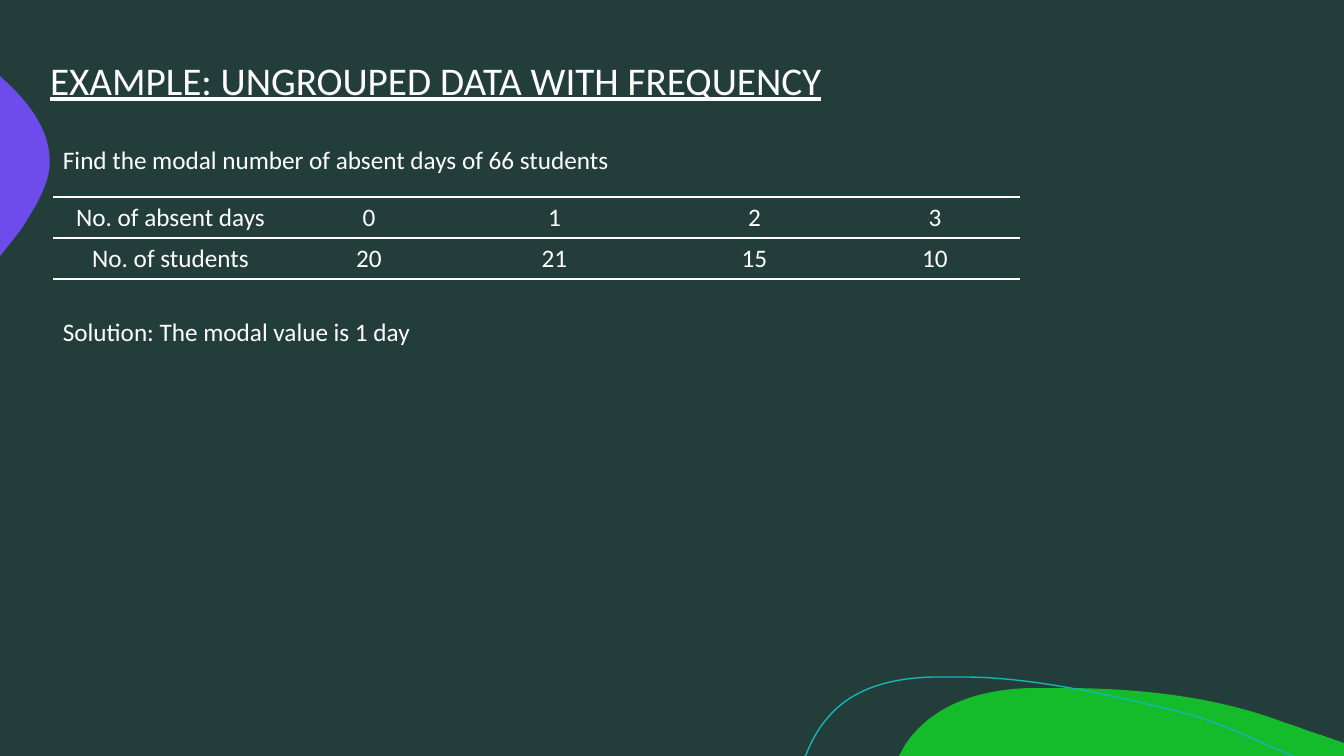
from lxml.etree import SubElement
from pptx import Presentation
from pptx.dml.color import RGBColor
from pptx.enum.text import MSO_ANCHOR, MSO_AUTO_SIZE, PP_ALIGN
from pptx.oxml import parse_xml
from pptx.oxml.ns import nsdecls, qn
from pptx.util import Pt

EMU_PER_PX = 914400 / 100.8

GREEN_HILL = [
    [(1062, 688)],
    [(1137, 688), (1214, 696), (1283, 722)],
    [(1296, 726), (1308, 731), (1321, 735)],
    [(1344, 743)], [(1344, 756)], [(899, 756)], [(905, 745)],
    [(909, 739), (913, 734), (918, 729)],
    [(947, 699), (990, 689), (1031, 688)],
    [(1041, 688), (1052, 688), (1062, 688)],
]
PURPLE_BULGE = [
    [(0, 76)], [(1, 77)],
    [(30, 103), (54, 134), (49, 171)],
    [(46, 188), (37, 204), (27, 220)],
    [(24, 226), (17, 235), (8, 246)],
    [(0, 256)],
]
TEAL_WAVE = [
    [(805, 756)], [(806, 755)],
    [(812, 739), (820, 726), (831, 714)],
    [(857, 686), (896, 678), (933, 677)],
    [(963, 677)],
    [(1031, 677), (1109, 695), (1164, 708)],
    [(1219, 721), (1236, 732), (1293, 756)],
]
ABSENCES = [
    ["No. of absent days", "0", "1", "2", "3"],
    ["No. of students", "20", "21", "15", "10"],
]


def px(length):
    """Turn pixels into EMU."""
    return round(length * EMU_PER_PX)


def color(hex_code):
    """Turn a hex string into a colour."""
    return RGBColor.from_string(hex_code)


class SlideBuilder:
    """Holds the style and the current slide."""

    font_name = "Calibri"
    text_color = "FFFFFF"
    title_size = 28
    body_size = 18

    def __init__(self, presentation, background):
        """Add a title-only slide with a plain background."""
        self.slide = presentation.slides.add_slide(presentation.slide_layouts[5])
        self.slide.background.fill.solid()
        self.slide.background.fill.fore_color.rgb = color(background)

    def style_text(self, text_frame, size, align=PP_ALIGN.LEFT):
        """Format every run of a text frame."""
        for paragraph in text_frame.paragraphs:
            paragraph.alignment = align
            for run in paragraph.runs:
                run.font.name = self.font_name
                run.font.size = Pt(size)
                run.font.color.rgb = color(self.text_color)

    def title(self, text, left, top, width, height):
        """Fill and place the underlined title."""
        shape = self.slide.shapes.title
        shape.left, shape.top = px(left), px(top)
        shape.width, shape.height = px(width), px(height)
        text_frame = shape.text_frame
        text_frame.text = text
        text_frame.auto_size = MSO_AUTO_SIZE.NONE
        text_frame.vertical_anchor = MSO_ANCHOR.TOP
        self.style_text(text_frame, self.title_size)
        text_frame.paragraphs[0].runs[0].font.underline = True

    def text(self, text, left, top, width, height):
        """Add a wrapped text box."""
        shape = self.slide.shapes.add_textbox(px(left), px(top), px(width), px(height))
        shape.text_frame.word_wrap = True
        shape.text_frame.text = text
        self.style_text(shape.text_frame, self.body_size)

    def bend(self, shape, segments):
        """Turn the lines that have control points into cubic curves."""
        lines = list(shape._element.iter(qn("a:lnTo")))
        for line, segment in zip(lines, segments):
            if len(segment) == 1:
                continue
            curve = parse_xml(f'<a:cubicBezTo {nsdecls("a")}/>')
            for x, y in segment:
                SubElement(curve, qn("a:pt"), x=str(px(x) - shape.left), y=str(px(y) - shape.top))
            line.getparent().replace(line, curve)

    def outline(self, segments, fill=None, line=None):
        """Add a closed filled shape or an open stroked one."""
        start, *ends = [(px(x), px(y)) for x, y in (segment[-1] for segment in segments)]
        builder = self.slide.shapes.build_freeform(*start)
        builder.add_line_segments(ends, close=fill is not None)
        shape = builder.convert_to_shape()
        self.bend(shape, segments[1:])
        shape.shadow.inherit = False
        if fill:
            shape.fill.solid()
            shape.fill.fore_color.rgb = color(fill)
        else:
            shape.fill.background()
        if line:
            shape.line.color.rgb = color(line)
            shape.line.width = Pt(1)
        else:
            shape.line.fill.background()

    def rule_cell(self, cell):
        """Give a cell lines above and below only."""
        properties = cell._tc.get_or_add_tcPr()
        for index, side in enumerate("LRTB"):
            border = parse_xml(f'<a:ln{side} {nsdecls("a")} w="{Pt(1)}"/>')
            if side in "TB":
                fill = SubElement(border, qn("a:solidFill"))
                SubElement(fill, qn("a:srgbClr"), val=self.text_color)
            else:
                SubElement(border, qn("a:noFill"))
            properties.insert(index, border)

    def table(self, rows, left, top, column_widths, row_height):
        """Add a centred table with horizontal rules."""
        table = self.slide.shapes.add_table(
            len(rows), len(column_widths), px(left), px(top),
            px(sum(column_widths)), px(row_height * len(rows))).table
        table.first_row = table.horz_banding = False
        for column, width in zip(table.columns, column_widths):
            column.width = px(width)
        for row_index, row in enumerate(rows):
            table.rows[row_index].height = px(row_height)
            for column_index, value in enumerate(row):
                cell = table.cell(row_index, column_index)
                cell.text_frame.text = value
                cell.fill.background()
                self.style_text(cell.text_frame, self.body_size, PP_ALIGN.CENTER)
                self.rule_cell(cell)


def main():
    """Build and save the slide."""
    presentation = Presentation()
    presentation.slide_width, presentation.slide_height = px(1344), px(756)
    builder = SlideBuilder(presentation, "233E3A")
    builder.outline(GREEN_HILL, fill="14BC2C")
    builder.outline(PURPLE_BULGE, fill="6E4BEB")
    builder.outline(TEAL_WAVE, line="14B6B2")
    builder.title("EXAMPLE: UNGROUPED DATA WITH FREQUENCY", 40, 51, 1264, 89)
    builder.text("Find the modal number of absent days of 66 students", 53, 139, 807, 40)
    builder.table(ABSENCES, 53, 197, [235, 162, 209, 191, 170], 41)
    builder.text("Solution: The modal value is 1 day", 53, 311, 491, 40)
    presentation.save("out.pptx")


if __name__ == "__main__":
    main()
